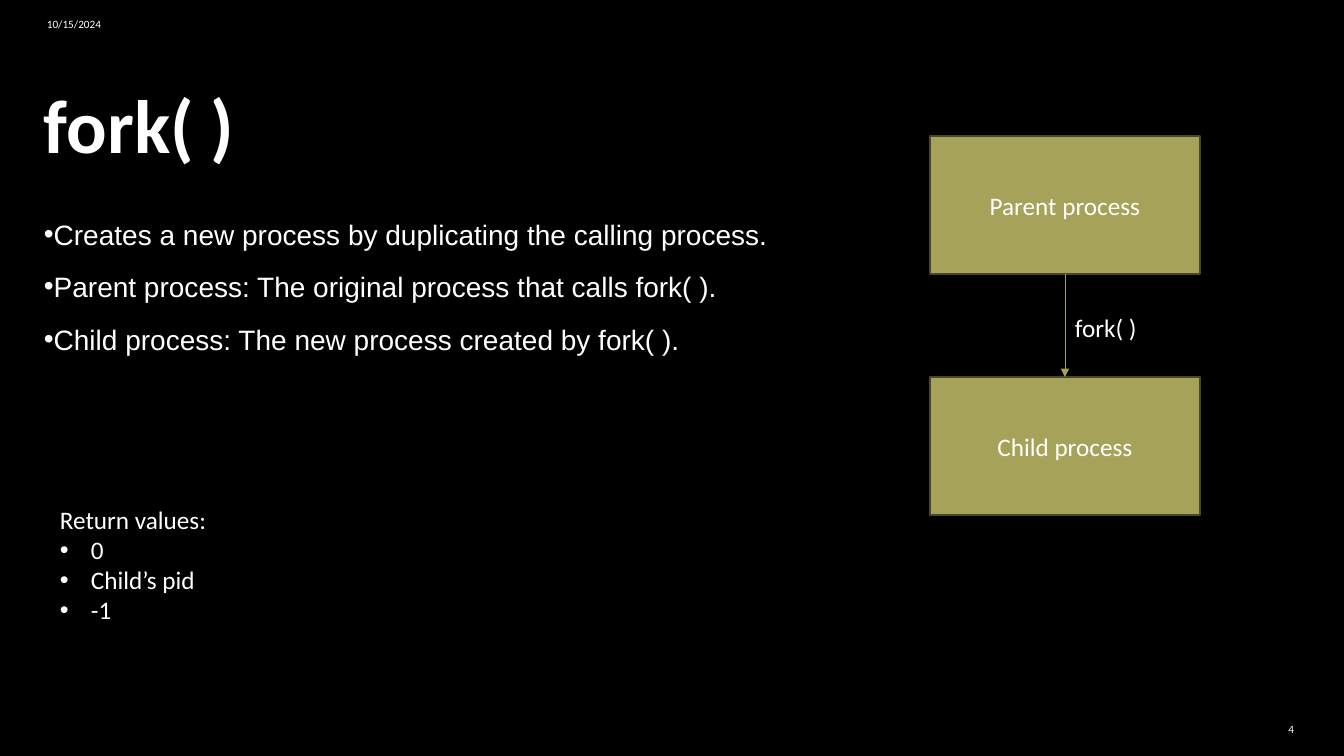
from lxml import etree
from pptx import Presentation
from pptx.dml.color import RGBColor
from pptx.enum.shapes import MSO_CONNECTOR, MSO_SHAPE
from pptx.enum.text import MSO_ANCHOR, PP_ALIGN
from pptx.oxml.ns import qn
from pptx.util import Pt

PX = 9072  # EMU per px
LEFT, CENTER, RIGHT = PP_ALIGN.LEFT, PP_ALIGN.CENTER, PP_ALIGN.RIGHT
TOP, MIDDLE = MSO_ANCHOR.TOP, MSO_ANCHOR.MIDDLE
BLACK, WHITE, OLIVE, DARK_OLIVE = "000000", "FFFFFF", "A7A259", "494727"


def write(shape, lines, size, font="Calibri", bold=False, align=LEFT, anchor=TOP):
    frame = shape.text_frame
    frame.word_wrap = True
    frame.vertical_anchor = anchor
    frame.text = "\n".join(lines)
    for paragraph in frame.paragraphs:
        paragraph.alignment = align
        for run in paragraph.runs:
            run.font.size = Pt(size)
            run.font.name = font
            run.font.bold = bold
            run.font.color.rgb = RGBColor.from_string(WHITE)
    return frame.paragraphs


def add_bullets(paragraphs, indent):
    for paragraph in paragraphs:
        props = paragraph._p.get_or_add_pPr()
        props.set("marL", str(indent * PX))
        props.set("indent", str(-indent * PX))
        etree.SubElement(props, qn("a:buFont")).set("typeface", "Arial")
        etree.SubElement(props, qn("a:buChar")).set("char", "•")


prs = Presentation()
prs.slide_width, prs.slide_height = 1344 * PX, 756 * PX
slide = prs.slides.add_slide(prs.slide_layouts[6])
slide.background.fill.solid()
slide.background.fill.fore_color.rgb = RGBColor.from_string(BLACK)
shapes = slide.shapes

# Title
title = shapes.add_textbox(34 * PX, 83 * PX, 896 * PX, 392 * PX)
write(title, ["fork( )"], 54, bold=True)[0].line_spacing = 0.9

# Date and slide number
date = shapes.add_textbox(37 * PX, 7 * PX, 302 * PX, 35 * PX)
write(date, ["10/15/2024"], 8, anchor=MIDDLE)
number = shapes.add_textbox(1257 * PX, 709 * PX, 47 * PX, 40 * PX)
write(number, ["4"], 8, align=RIGHT, anchor=MIDDLE)

# Definitions
definitions = shapes.add_textbox(34 * PX, 154 * PX, 750 * PX, 248 * PX)
definition_lines = write(definitions, [
    "Creates a new process by duplicating the calling process.",
    "Parent process: The original process that calls fork( ).",
    "Child process: The new process created by fork( ).",
], 20, font="Arial", anchor=MIDDLE)
for line in definition_lines:
    line.line_spacing = 1.5
    line.space_before = Pt(1.5)
add_bullets(definition_lines, 0)

# Parent and child processes
processes = []
for label, top in (("Parent process", 136), ("Child process", 377)):
    process = shapes.add_shape(MSO_SHAPE.RECTANGLE, 930 * PX, top * PX, 270 * PX, 138 * PX)
    process.shadow.inherit = False
    process.fill.solid()
    process.fill.fore_color.rgb = RGBColor.from_string(OLIVE)
    process.line.color.rgb = RGBColor.from_string(DARK_OLIVE)
    process.line.width = Pt(1)
    write(process, [label], 18, align=CENTER, anchor=MIDDLE)
    processes.append(process)
parent, child = processes

# Arrow from parent to child
fork_arrow = shapes.add_connector(MSO_CONNECTOR.STRAIGHT, 1065 * PX, 274 * PX, 1065 * PX, 377 * PX)
fork_arrow.begin_connect(parent, 2)
fork_arrow.end_connect(child, 0)
fork_arrow.line.color.rgb = RGBColor.from_string(OLIVE)
fork_arrow.line.width = Pt(0.5)
etree.SubElement(fork_arrow.line._get_or_add_ln(), qn("a:tailEnd")).set("type", "triangle")
etree.SubElement(fork_arrow._element.spPr, qn("a:effectLst"))

fork_label = shapes.add_textbox(1065 * PX, 307 * PX, 121 * PX, 40 * PX)
write(fork_label, ["fork( )"], 18)

# Return values
return_values = shapes.add_textbox(50 * PX, 499 * PX, 317 * PX, 132 * PX)
return_lines = write(return_values, ["Return values:", "0", "Child’s pid", "-1"], 18)
add_bullets(return_lines[1:], 31)

prs.save("out.pptx")
